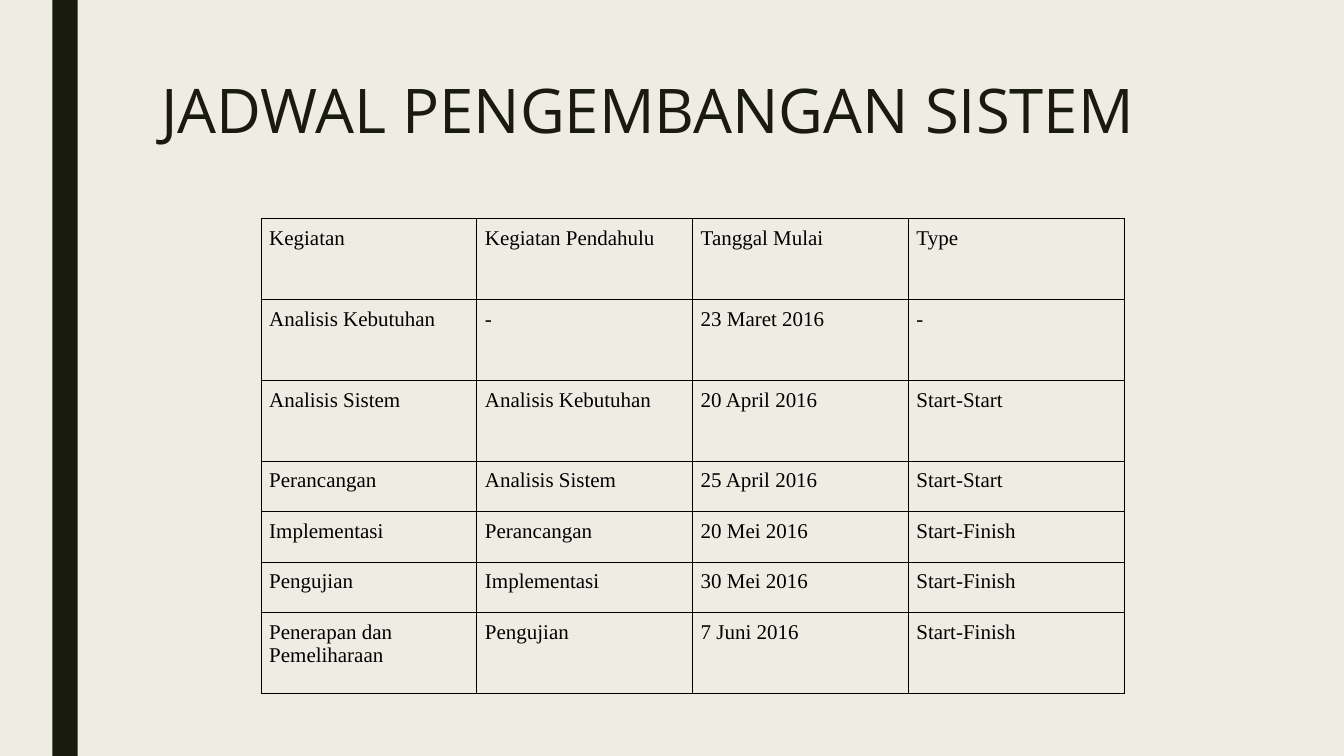
from lxml.etree import SubElement
from pptx import Presentation
from pptx.dml.color import RGBColor
from pptx.enum.shapes import MSO_SHAPE
from pptx.enum.text import MSO_ANCHOR
from pptx.oxml.ns import qn
from pptx.util import Inches, Pt

COLORS = {"paper": "EFEDE3", "dark": "191B0E", "ink": "000000"}
UNIT = Inches(1)
COLS, ROWS = 13.33, 7.5
PAD = 0.08
TALL, LOW = 0.8, 0.5
HEIGHTS = [TALL] * 3 + [LOW] * 3 + [TALL]
TASKS = [
    ("Kegiatan", "Kegiatan Pendahulu", "Tanggal Mulai", "Type"),
    ("Analisis Kebutuhan", "-", "23 Maret 2016", "-"),
    ("Analisis Sistem", "Analisis Kebutuhan", "20 April 2016", "Start-Start"),
    ("Perancangan", "Analisis Sistem", "25 April 2016", "Start-Start"),
    ("Implementasi", "Perancangan", "20 Mei 2016", "Start-Finish"),
    ("Pengujian", "Implementasi", "30 Mei 2016", "Start-Finish"),
    ("Penerapan dan Pemeliharaan", "Pengujian", "7 Juni 2016", "Start-Finish"),
]


def color(name):
    return RGBColor.from_string(COLORS[name])


def grid(*cells):
    return [round(cell * UNIT) for cell in cells]


def add_run(para, text, size, face, tint):
    run = para.add_run()
    run.text = text
    run.font.size = Pt(size)
    run.font.name = face
    run.font.color.rgb = color(tint)


def draw_bar(slide, box):
    bar = slide.shapes.add_shape(MSO_SHAPE.RECTANGLE, *box)
    bar.shadow.inherit = False
    bar.fill.solid()
    bar.fill.fore_color.rgb = color("dark")
    bar.line.fill.background()


def draw_title(slide, box):
    frame = slide.shapes.add_textbox(*box).text_frame
    frame.word_wrap = True
    frame.vertical_anchor = MSO_ANCHOR.TOP
    para = frame.paragraphs[0]
    para.line_spacing = 0.89
    add_run(para, "JADWAL PENGEMBANGAN SISTEM", 44, "Open Sans", "dark")


def add_border(cell):
    props = cell._tc.get_or_add_tcPr()
    for side in ("lnL", "lnR", "lnT", "lnB"):
        line = SubElement(props, qn(f"a:{side}"), w=str(Pt(1)))
        fill = SubElement(line, qn("a:solidFill"))
        SubElement(fill, qn("a:srgbClr"), val=COLORS["ink"])


def fill_cell(cell, text):
    pad = Inches(PAD)
    cell.margin_left = cell.margin_right = pad
    cell.margin_top = cell.margin_bottom = pad
    cell.vertical_anchor = MSO_ANCHOR.TOP
    add_border(cell)
    cell.fill.background()
    add_run(cell.text_frame.paragraphs[0], text, 15, "Times New Roman", "ink")


def draw_table(slide, box):
    table = slide.shapes.add_table(len(TASKS), len(TASKS[0]), *box).table
    table.first_row = False
    table.horz_banding = False
    for col in table.columns:
        col.width = box[2] // len(TASKS[0])
    for row, share, task in zip(table.rows, HEIGHTS, TASKS):
        row.height = round(box[3] * share / sum(HEIGHTS))
        for cell, text in zip(row.cells, task):
            fill_cell(cell, text)


def main():
    deck = Presentation()
    deck.slide_width, deck.slide_height = grid(COLS, ROWS)
    slide = deck.slides.add_slide(deck.slide_layouts[6])
    slide.background.fill.solid()
    slide.background.fill.fore_color.rgb = color("paper")
    draw_bar(slide, grid(0.52, 0, 0.25, ROWS))
    draw_title(slide, grid(1.5, 0.75, 10.5, 1.62))
    draw_table(slide, grid(2.59, 2.17, 8.56, 4.71))
    deck.save("out.pptx")


if __name__ == "__main__":
    main()
